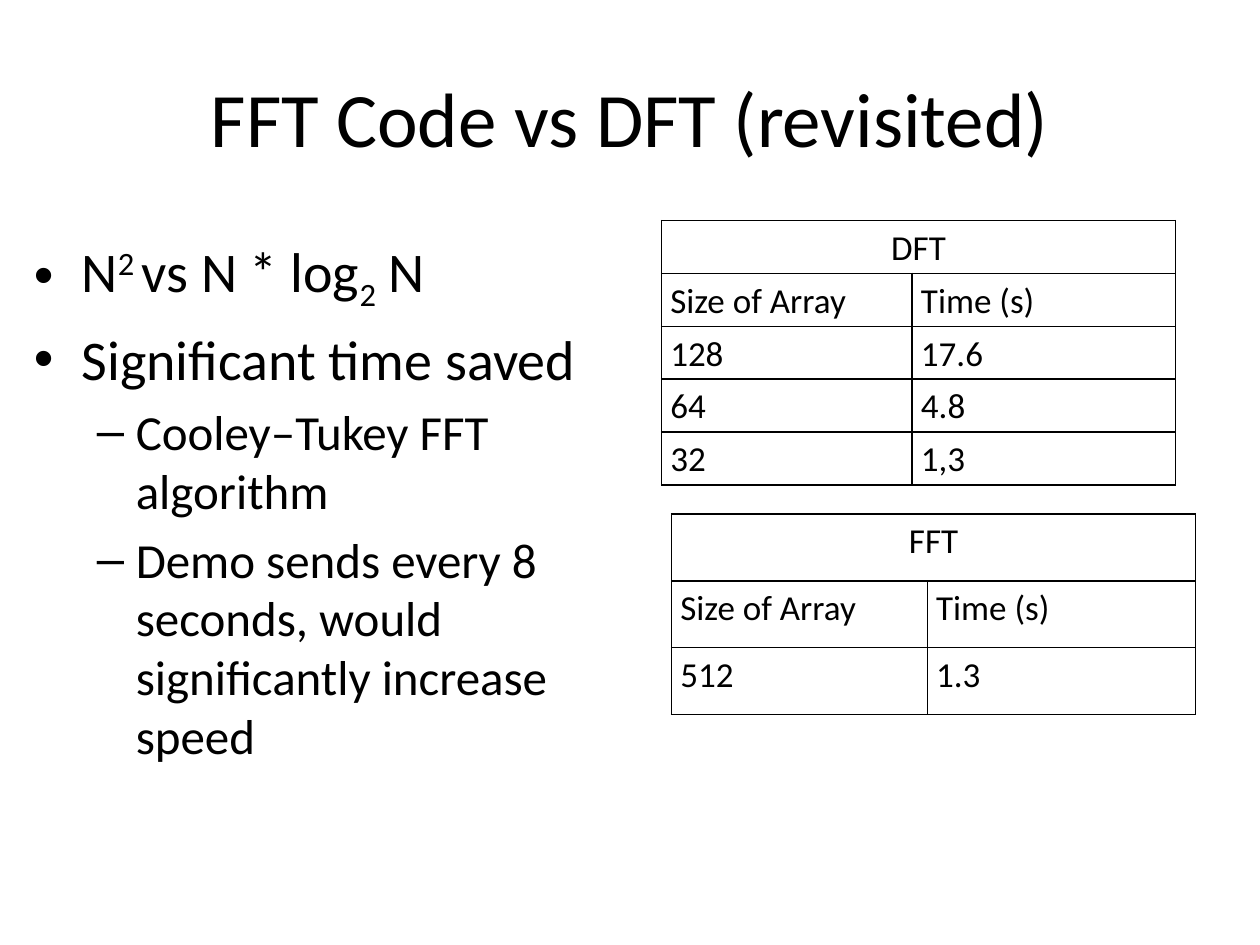
"""Build a slide comparing FFT and DFT running times."""
from dataclasses import dataclass

from lxml.etree import SubElement
from pptx import Presentation
from pptx.dml.color import RGBColor
from pptx.enum.text import MSO_ANCHOR as Anchor, PP_ALIGN as Align
from pptx.oxml.ns import qn
from pptx.util import Inches, Pt

BLACK = RGBColor(0, 0, 0)
FONT = "Calibri"
SUPERSCRIPT, SUBSCRIPT = 30000, -25000


@dataclass
class Bullet:
    spans: list[tuple[str, int]]
    level: int = 0


@dataclass
class BulletStyle:
    mark: str
    size: int
    margin: float
    hanging: float


@dataclass
class TimingTable:
    left: float
    top: float
    columns: tuple[float, float]
    row_height: float
    title: str
    timings: list[tuple[str, str]]


STYLES = [BulletStyle("•", 32, 0.38, 0.38), BulletStyle("–", 28, 0.81, 0.31)]
BULLETS = [
    Bullet([("N", 0), ("2 ", SUPERSCRIPT), ("vs N * log", 0), ("2", SUBSCRIPT), (" N", 0)]),
    Bullet([("Significant time saved", 0)]),
    Bullet([("Cooley–Tukey FFT algorithm", 0)], 1),
    Bullet([("Demo sends every 8 seconds, would significantly increase speed", 0)], 1),
]
TABLES = [
    TimingTable(5.25, 1.75, (1.99, 2.09), 0.42, "DFT",
                [("128", "17.6"), ("64", "4.8"), ("32", "1,3")]),
    TimingTable(5.33, 4.08, (2.03, 2.13), 0.53, "FFT", [("512", "1.3")]),
]


def set_format(target, values: dict) -> None:
    for name, value in values.items():
        setattr(target, name, value)


def add_span(para, text: str, size: int, baseline: int = 0) -> None:
    span = para.add_run()
    span.text = text
    set_format(span.font, {"name": FONT, "size": Pt(size)})
    span.font.color.rgb = BLACK
    if baseline:
        span.font._element.set("baseline", str(baseline))


def add_frame(page, left: float, top: float, width: float, height: float, anchor):
    box = page.shapes.add_textbox(Inches(left), Inches(top), Inches(width), Inches(height))
    set_format(box.text_frame, {"word_wrap": True, "vertical_anchor": anchor})
    return box.text_frame


def add_bullet(para, bullet: Bullet) -> None:
    style = STYLES[bullet.level]
    set_format(para, {"level": bullet.level, "space_before": Pt(style.size * 0.2)})
    properties = para._p.get_or_add_pPr()
    properties.set("marL", str(Inches(style.margin)))
    properties.set("indent", str(-Inches(style.hanging)))
    SubElement(properties, qn("a:buFont"), typeface="Arial")
    SubElement(properties, qn("a:buChar"), char=style.mark)
    for text, baseline in bullet.spans:
        add_span(para, text, style.size, baseline)


def format_cell(cell) -> None:
    set_format(cell, {"margin_left": Inches(0.07), "margin_right": Inches(0.07),
                      "margin_top": 0, "margin_bottom": 0})
    properties = cell._tc.get_or_add_tcPr()
    for side in "LRTB":
        line = SubElement(properties, qn(f"a:ln{side}"), w=str(Pt(1)))
        SubElement(SubElement(line, qn("a:solidFill")), qn("a:srgbClr"), val=str(BLACK))
    cell.fill.background()


def add_timing_table(page, timing: TimingTable) -> None:
    rows = [(timing.title, ""), ("Size of Array", "Time (s)"), *timing.timings]
    table = page.shapes.add_table(
        len(rows), 2, Inches(timing.left), Inches(timing.top),
        Inches(sum(timing.columns)), Inches(timing.row_height * len(rows))).table
    set_format(table, {"first_row": False, "horz_banding": False})
    for column, width in zip(table.columns, timing.columns):
        column.width = Inches(width)
    table.cell(0, 0).merge(table.cell(0, 1))
    for row_index, row in enumerate(rows):
        table.rows[row_index].height = Inches(timing.row_height)
        for column_index, text in enumerate(row):
            cell = table.cell(row_index, column_index)
            format_cell(cell)
            if text:
                para = cell.text_frame.paragraphs[0]
                set_format(para, {"line_spacing": 1.15,
                                  "alignment": Align.LEFT if row_index else Align.CENTER})
                add_span(para, text, 20)


def main() -> None:
    deck = Presentation()
    set_format(deck, {"slide_width": Inches(10), "slide_height": Inches(7.5)})
    page = deck.slides.add_slide(deck.slide_layouts[6])
    title = add_frame(page, 0.5, 0.3, 9, 1.25, Anchor.MIDDLE).paragraphs[0]
    title.alignment = Align.CENTER
    add_span(title, "FFT Code vs DFT (revisited)", 44)
    body = add_frame(page, 0.17, 1.83, 4.67, 4.95, Anchor.TOP)
    for index, bullet in enumerate(BULLETS):
        add_bullet(body.add_paragraph() if index else body.paragraphs[0], bullet)
    for timing in TABLES:
        add_timing_table(page, timing)
    deck.save("out.pptx")


main()
